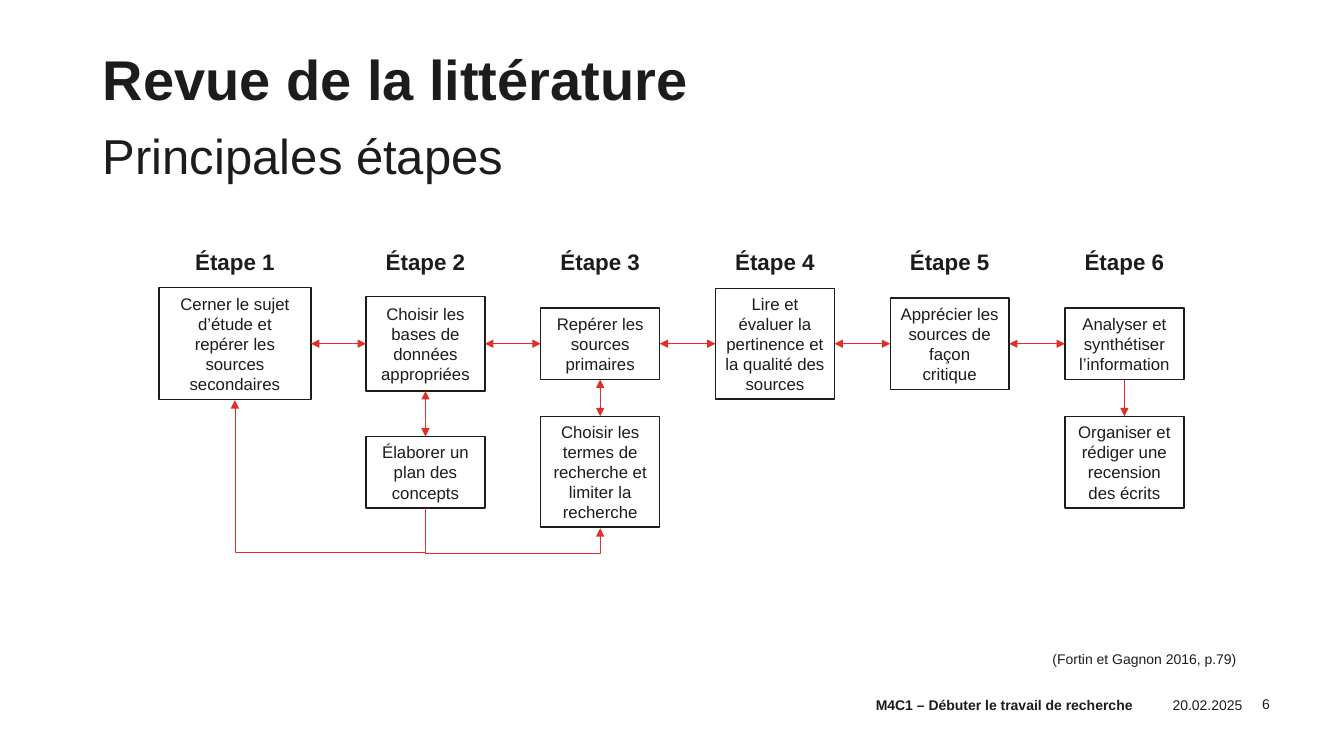
from dataclasses import dataclass

from lxml.etree import SubElement
from pptx import Presentation
from pptx.dml.color import RGBColor
from pptx.enum.shapes import MSO_CONNECTOR, MSO_SHAPE
from pptx.enum.text import MSO_ANCHOR, MSO_AUTO_SIZE, PP_ALIGN
from pptx.oxml.ns import qn
from pptx.shapes.autoshape import Shape
from pptx.shapes.connector import Connector
from pptx.slide import Slide
from pptx.util import Inches, Pt

FONT = "Arial"
INK = "1C1C1B"
RED = "E22E28"
WHITE = "FFFFFF"
ROW_MIDDLE = 3.41
BOX_WIDTH = 1.18
COLUMN_STEP = 1.733
SECOND_COLUMN = 4.22
TOP, LEFT, BOTTOM, RIGHT = range(4)


@dataclass(frozen=True)
class Step:
    """A column: its centre, main box and optional box below."""

    centre: float
    text: str
    height: float
    width: float = BOX_WIDTH
    detail: str = ""
    detail_top: float = 4.13
    detail_height: float = 0.91
    both_ways: bool = True


@dataclass(frozen=True)
class Label:
    """A line of free text with its place and format."""

    text: str
    left: float
    top: float
    width: float
    height: float
    size: float = 10
    bold: bool = False
    align: PP_ALIGN = PP_ALIGN.LEFT
    wrap: bool = True


@dataclass(frozen=True)
class Elbow:
    """A three-part arrow that turns at a given height."""

    start: tuple[float, float]
    end: tuple[float, float]
    turn: float


def column(index: int) -> float:
    """Return the centre of a column counted from the second."""
    return SECOND_COLUMN + index * COLUMN_STEP


STEPS = [
    Step(2.33, "Cerner le sujet d’étude et repérer les sources secondaires", 1.11, 1.51),
    Step(column(0), "Choisir les bases de données appropriées", 0.94,
         detail="Élaborer un plan des concepts", detail_top=4.33, detail_height=0.71),
    Step(column(1), "Repérer les sources primaires", 0.71,
         detail="Choisir les termes de recherche et limiter la recherche", detail_height=1.1),
    Step(column(2), "Lire et évaluer la pertinence et la qualité des sources", 1.1),
    Step(column(3), "Apprécier les sources de façon critique", 0.91),
    Step(column(4), "Analyser et synthétiser l’information", 0.71,
         detail="Organiser et rédiger une recension des écrits", both_ways=False),
]
ELBOWS = [
    Elbow((column(0), 5.04), (2.33, 3.97), 5.48),
    Elbow((column(0), 5.04), (column(1), 5.24), 5.49),
]
LABELS = [
    Label("(Fortin et Gagnon 2016, p.79)", 10.34, 6.4, 2.08, 0.27),
    Label("M4C1 – Débuter le travail de recherche", 8.1, 6.87, 3.23, 0.24,
          bold=True, align=PP_ALIGN.RIGHT),
    Label("20.02.2025", 11.43, 6.88, 0.99, 0.22, align=PP_ALIGN.RIGHT),
    Label("6", 12.42, 6.85, 0.68, 0.27),
]


def colour(value: str) -> RGBColor:
    """Turn a hex string into a colour."""
    return RGBColor.from_string(value)


def write(shape: Shape, text: str, size: float, bold: bool = False,
          align: PP_ALIGN = PP_ALIGN.LEFT, anchor: MSO_ANCHOR = MSO_ANCHOR.MIDDLE,
          wrap: bool = True) -> None:
    """Fill a shape with one formatted paragraph."""
    frame = shape.text_frame
    frame.word_wrap = wrap
    frame.auto_size = MSO_AUTO_SIZE.NONE
    frame.vertical_anchor = anchor
    para = frame.paragraphs[0]
    para.alignment = align
    span = para.add_run()
    span.text = text
    span.font.name = FONT
    span.font.size = Pt(size)
    span.font.bold = bold
    span.font.color.rgb = colour(INK)


def write_heading(shape: Shape, text: str, top: float, height: float,
                  size: float, bold: bool) -> None:
    """Move and format a heading placeholder."""
    shape.left, shape.top = Inches(0.92), Inches(top)
    shape.width, shape.height = Inches(11.5), Inches(height)
    write(shape, text, size, bold, anchor=MSO_ANCHOR.BOTTOM)
    para = shape.text_frame.paragraphs[0]
    para.line_spacing = 0.9
    para.space_before = Pt(0)
    properties = para._p.get_or_add_pPr()
    properties.set("marL", "0")
    properties.set("indent", "0")
    SubElement(properties, qn("a:buNone"))


def add_label(page: Slide, label: Label) -> None:
    """Add a text box for a label."""
    box = page.shapes.add_textbox(Inches(label.left), Inches(label.top),
                                  Inches(label.width), Inches(label.height))
    write(box, label.text, label.size, label.bold, label.align, wrap=label.wrap)


def add_box(page: Slide, text: str, centre: float, top: float,
            width: float, height: float) -> Shape:
    """Add an outlined box centred on a column."""
    box = page.shapes.add_shape(MSO_SHAPE.RECTANGLE, Inches(centre - width / 2),
                                Inches(top), Inches(width), Inches(height))
    box.shadow.inherit = False
    box.fill.solid()
    box.fill.fore_color.rgb = colour(WHITE)
    box.line.color.rgb = colour(INK)
    box.line.width = Pt(1)
    write(box, text, 12, align=PP_ALIGN.CENTER)
    return box


def style_arrow(arrow: Connector, both_ways: bool) -> None:
    """Colour a connector and give it its arrowheads."""
    arrow.line.color.rgb = colour(RED)
    arrow.line.width = Pt(0.5)
    line = arrow.line._get_or_add_ln()
    for end in ("a:headEnd", "a:tailEnd") if both_ways else ("a:tailEnd",):
        SubElement(line, qn(end), type="triangle")
    SubElement(arrow._element.spPr, qn("a:effectLst"))


def link(page: Slide, first: Shape, first_side: int, second: Shape,
         second_side: int, both_ways: bool = True) -> None:
    """Join two boxes with a straight arrow."""
    arrow = page.shapes.add_connector(MSO_CONNECTOR.STRAIGHT, 0, 0, 0, 0)
    arrow.begin_connect(first, first_side)
    arrow.end_connect(second, second_side)
    style_arrow(arrow, both_ways)


def add_elbow(page: Slide, elbow: Elbow) -> None:
    """Add an arrow that leaves and arrives vertically."""
    (start_x, start_y), (end_x, end_y) = elbow.start, elbow.end
    middle_x, middle_y = (start_x + end_x) / 2, (start_y + end_y) / 2
    half_width, half_height = abs(end_y - start_y) / 2, abs(end_x - start_x) / 2
    arrow = page.shapes.add_connector(
        MSO_CONNECTOR.ELBOW,
        Inches(middle_x + half_width), Inches(middle_y - half_height),
        Inches(middle_x - half_width), Inches(middle_y + half_height))
    properties = arrow._element.spPr
    angle = 90 if end_y < start_y else 270
    properties.find(qn("a:xfrm")).set("rot", str(angle * 60000))
    geometry = properties.find(qn("a:prstGeom"))
    adjustments = geometry.find(qn("a:avLst"))
    if adjustments is None:
        adjustments = SubElement(geometry, qn("a:avLst"))
    bend = round((elbow.turn - start_y) / (end_y - start_y) * 100000)
    SubElement(adjustments, qn("a:gd"), name="adj1", fmla=f"val {bend}")
    style_arrow(arrow, False)


def main() -> None:
    """Build the slide and save it."""
    deck = Presentation()
    deck.slide_width, deck.slide_height = Inches(13.33), Inches(7.5)
    page = deck.slides.add_slide(deck.slide_layouts[1])
    write_heading(page.shapes.title, "Revue de la littérature", 0.46, 0.71, 40, True)
    write_heading(page.placeholders[1], "Principales étapes", 1.23, 0.66, 35, False)
    previous = None
    for number, step in enumerate(STEPS, 1):
        add_label(page, Label(f"Étape {number}", step.centre - 0.5, 2.41, 1, 0.37,
                              16, True, PP_ALIGN.CENTER, False))
        box = add_box(page, step.text, step.centre, ROW_MIDDLE - step.height / 2,
                      step.width, step.height)
        if previous:
            link(page, previous, RIGHT, box, LEFT)
        if step.detail:
            detail = add_box(page, step.detail, step.centre, step.detail_top,
                             step.width, step.detail_height)
            link(page, box, BOTTOM, detail, TOP, step.both_ways)
        previous = box
    for elbow in ELBOWS:
        add_elbow(page, elbow)
    for label in LABELS:
        add_label(page, label)
    deck.save("out.pptx")


if __name__ == "__main__":
    main()
